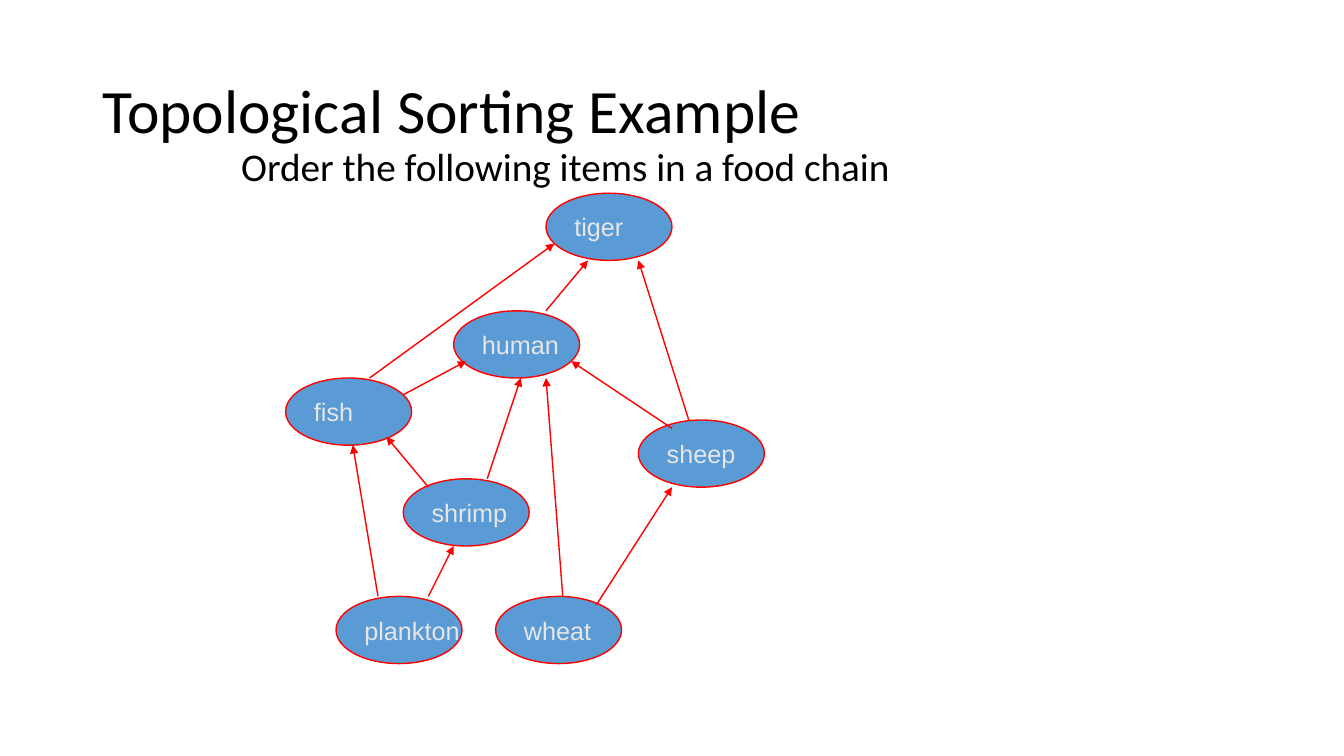
from lxml import etree
from pptx import Presentation
from pptx.dml.color import RGBColor
from pptx.enum.shapes import MSO_CONNECTOR, MSO_SHAPE
from pptx.enum.text import MSO_ANCHOR, MSO_AUTO_SIZE, PP_ALIGN
from pptx.oxml.ns import qn
from pptx.util import Pt

LEFT = PP_ALIGN.LEFT
TOP, MIDDLE = MSO_ANCHOR.TOP, MSO_ANCHOR.MIDDLE
NO_FIT = MSO_AUTO_SIZE.NONE
OVAL = MSO_SHAPE.OVAL
STRAIGHT = MSO_CONNECTOR.STRAIGHT

TITLE = "Topological Sorting Example"
TASK = "Order the following items in a food chain"

NODES = {
    "fish": (204, 270),
    "human": (324, 222),
    "shrimp": (288, 342),
    "sheep": (456, 300),
    "wheat": (354, 426),
    "plankton": (240, 426),
    "tiger": (390, 138),
}

ARROWS = [
    ((390, 222), (420, 186)),
    ((288, 282), (333, 258)),
    ((480, 306), (408, 258)),
    ((348, 342), (372, 270)),
    ((306, 348), (276, 312)),
    ((270, 426), (252, 318)),
    ((402, 426), (390, 270)),
    ((426, 432), (480, 348)),
    ((264, 270), (396, 174)),
    ((492, 300), (456, 186)),
    ((306, 426), (324, 390)),
]

THEME = {
    "ink": RGBColor(0x00, 0x00, 0x00),
    "pale": RGBColor(0xE7, 0xE6, 0xE6),
    "blue": RGBColor(0x5B, 0x9B, 0xD5),
    "red": RGBColor(0xFF, 0x00, 0x00),
    "head": "Calibri",
    "label": "Arial",
    "title": 44,
    "body": 28,
    "node": 18,
    "line": 1,
}
NODE_SIZE = (90, 48)


def place(shape, left, top, width, height):
    shape.left, shape.top = Pt(left), Pt(top)
    shape.width, shape.height = Pt(width), Pt(height)


def write(shape, text, font, size, color, anchor=MIDDLE, wrap=True, space=1.0, hang=0):
    frame = shape.text_frame
    frame.word_wrap = wrap
    frame.auto_size = NO_FIT
    frame.vertical_anchor = anchor
    para = frame.paragraphs[0]
    para.text = text
    para.alignment = LEFT
    para.line_spacing = space
    para.space_before = Pt(0)
    if hang:
        props = para._p.get_or_add_pPr()
        props.set("marL", str(Pt(hang)))
        props.set("indent", str(-Pt(hang)))
        etree.SubElement(props, qn("a:buNone"))
    style = para.runs[0].font
    style.name, style.size, style.color.rgb = font, Pt(size), color


def outline(shape):
    shape.line.color.rgb = THEME["red"]
    shape.line.width = Pt(THEME["line"])


def add_node(slide, name, spot):
    node = slide.shapes.add_shape(OVAL, *map(Pt, spot + NODE_SIZE))
    node.shadow.inherit = False
    node.fill.solid()
    node.fill.fore_color.rgb = THEME["blue"]
    outline(node)
    write(node, name, THEME["label"], THEME["node"], THEME["pale"], wrap=False)


def add_arrow(slide, start, end):
    arrow = slide.shapes.add_connector(STRAIGHT, *map(Pt, start + end))
    outline(arrow)
    props = arrow.element.spPr
    etree.SubElement(props.find(qn("a:ln")), qn("a:tailEnd"), type="triangle")
    etree.SubElement(props, qn("a:effectLst"))


def main():
    deck = Presentation()
    deck.slide_width, deck.slide_height = Pt(960), Pt(540)
    slide = deck.slides.add_slide(deck.slide_layouts[1])

    title, body = slide.placeholders
    place(title, 66, 29, 828, 104)
    write(title, TITLE, THEME["head"], THEME["title"], THEME["ink"], space=0.9)
    place(body, 165, 102, 654, 398)
    write(body, TASK, THEME["head"], THEME["body"], THEME["ink"],
          anchor=TOP, space=0.9, hang=18)

    for name, spot in NODES.items():
        add_node(slide, name, spot)
    for start, end in ARROWS:
        add_arrow(slide, start, end)

    deck.save("out.pptx")


if __name__ == "__main__":
    main()
